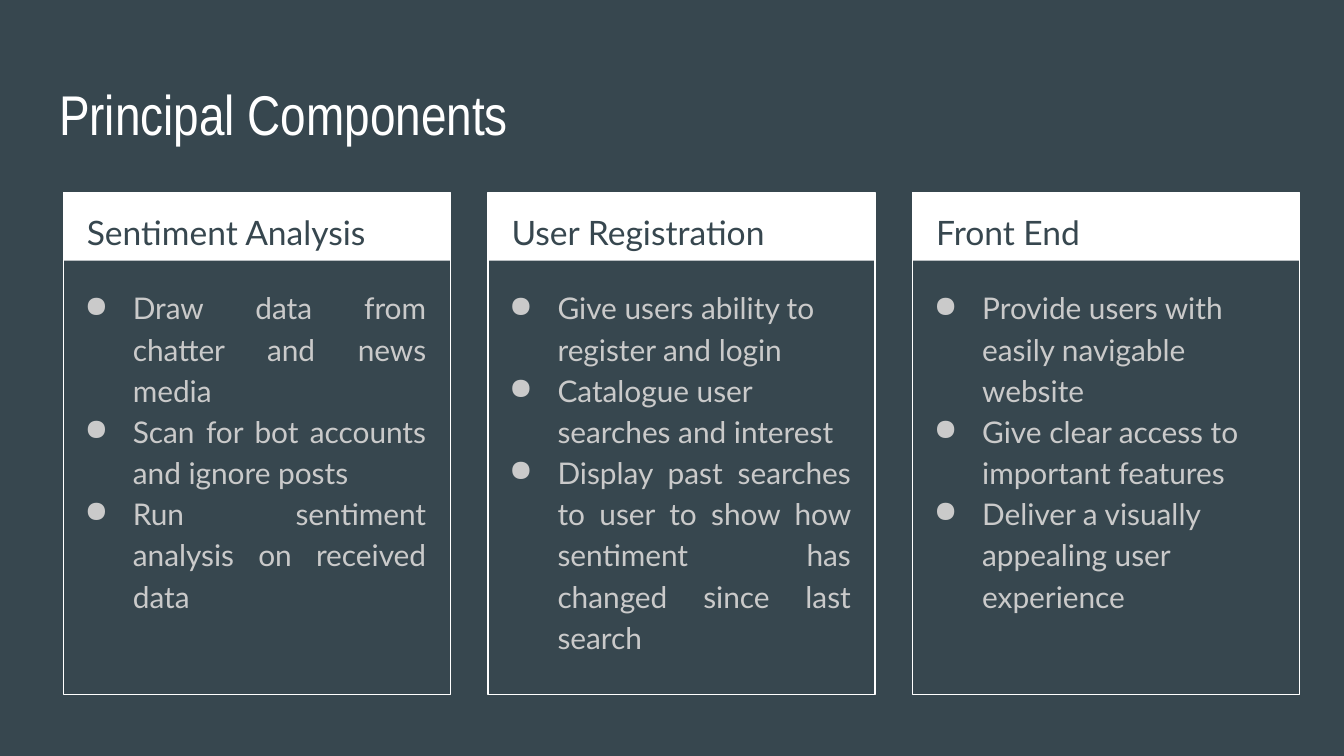
"""Build the Principal Components slide with three bulleted cards."""
from lxml import etree
from pptx import Presentation
from pptx.dml.color import RGBColor
from pptx.enum.shapes import MSO_SHAPE
from pptx.enum.text import MSO_ANCHOR, MSO_AUTO_SIZE, PP_ALIGN
from pptx.oxml.ns import qn
from pptx.util import Pt

RECT = MSO_SHAPE.RECTANGLE
TOP = MSO_ANCHOR.TOP
FIXED = MSO_AUTO_SIZE.NONE
LEFT = PP_ALIGN.LEFT
FULL = PP_ALIGN.JUSTIFY

HUES = {"slate": "37474F", "white": "FFFFFF", "grey": "CACACA"}
CARDS = [
    ("Sentiment Analysis", [
        ("Draw data from chatter and news media", FULL),
        ("Scan for bot accounts and ignore posts", FULL),
        ("Run sentiment analysis on received data", FULL)]),
    ("User Registration", [
        ("Give users ability to register and login", LEFT),
        ("Catalogue user searches and interest", LEFT),
        ("Display past searches to user to show how sentiment has changed since last search", FULL)]),
    ("Front End", [
        ("Provide users with easily navigable website", LEFT),
        ("Give clear access to important features", LEFT),
        ("Deliver a visually appealing user experience", LEFT)]),
]


def color(name):
    return RGBColor.from_string(HUES[name])


def write(shape, lines, face, size, hue, space):
    frame = shape.text_frame
    frame.word_wrap = True
    frame.auto_size = FIXED
    frame.vertical_anchor = TOP
    frame.margin_left = frame.margin_right = Pt(7.2)
    frame.margin_top = frame.margin_bottom = Pt(7.2)
    frame.text = "\n".join(text for text, align in lines)
    for para, (text, align) in zip(frame.paragraphs, lines):
        para.alignment = align
        para.line_spacing = space
        font = para.runs[0].font
        font.name = face
        font.size = Pt(size)
        font.color.rgb = color(hue)


deck = Presentation()
deck.slide_width = Pt(720)
deck.slide_height = Pt(405)
slide = deck.slides.add_slide(deck.slide_layouts[5])
slide.background.fill.solid()
slide.background.fill.fore_color.rgb = color("slate")
shapes = slide.shapes

title = shapes.title
title.left, title.top, title.width, title.height = Pt(24.5), Pt(35.3), Pt(671), Pt(45.4)
write(title, [("Principal Components", LEFT)], "Arial Narrow", 30, "white", 1)

for index, (name, items) in enumerate(CARDS):
    left = 33.9 + 227.5 * index

    band = shapes.add_shape(RECT, Pt(left), Pt(103), Pt(207.4), Pt(36.7))
    band.shadow.inherit = False
    band.fill.solid()
    band.fill.fore_color.rgb = color("white")
    band.line.fill.background()

    frame = shapes.add_shape(RECT, Pt(left), Pt(103), Pt(207.4), Pt(269))
    frame.shadow.inherit = False
    frame.fill.background()
    frame.line.color.rgb = color("white")
    frame.line.width = Pt(0.75)

    head = shapes.add_textbox(Pt(left + 5.6), Pt(103), Pt(196.6), Pt(36))
    write(head, [(name, LEFT)], "Lato", 18, "slate", 1.15)

    body = shapes.add_textbox(Pt(left - 5.8), Pt(145.4), Pt(207.4), Pt(220.3))
    write(body, items, "Lato", 16, "grey", 1.15)
    for para in body.text_frame.paragraphs:
        props = para._p.get_or_add_pPr()
        props.set("marL", str(Pt(36)))
        props.set("indent", str(Pt(-25.9)))
        tint = etree.SubElement(props, qn("a:buClr"))
        etree.SubElement(tint, qn("a:srgbClr"), val=HUES["grey"])
        etree.SubElement(props, qn("a:buChar"), char="●")

deck.save("out.pptx")
